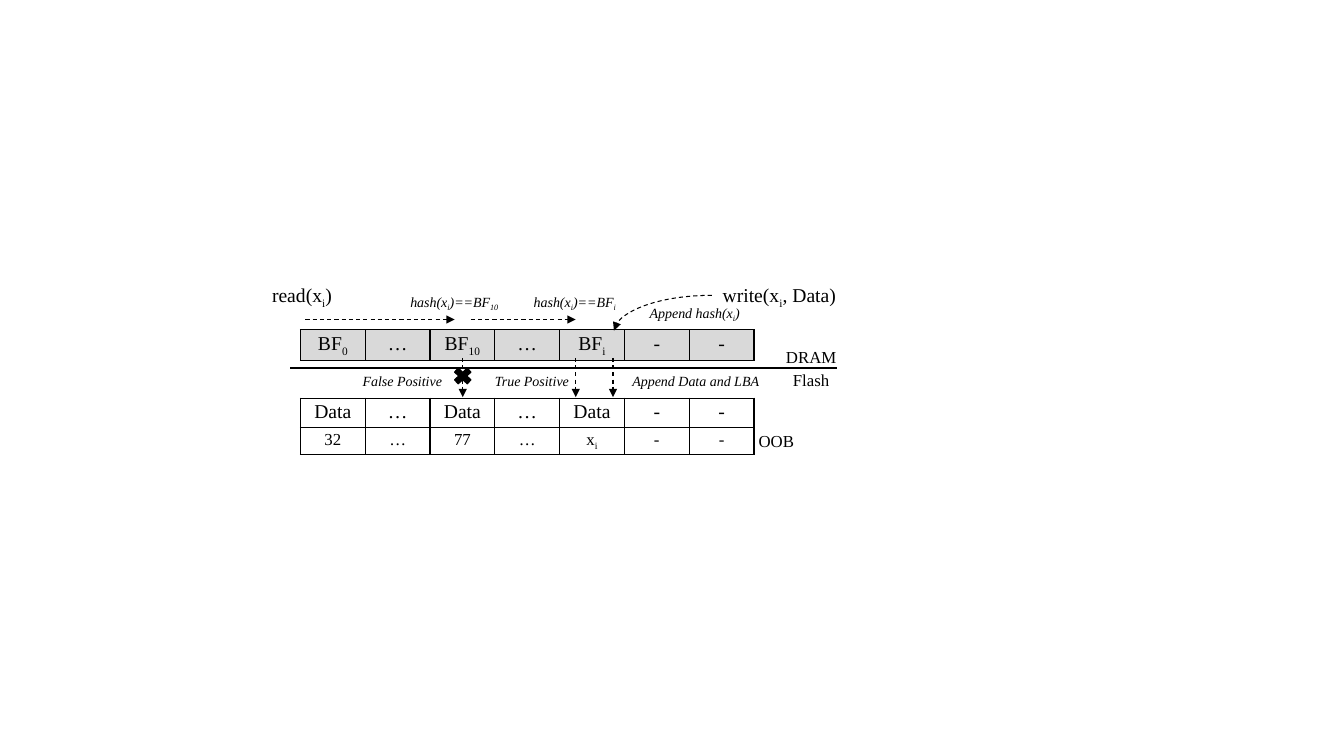
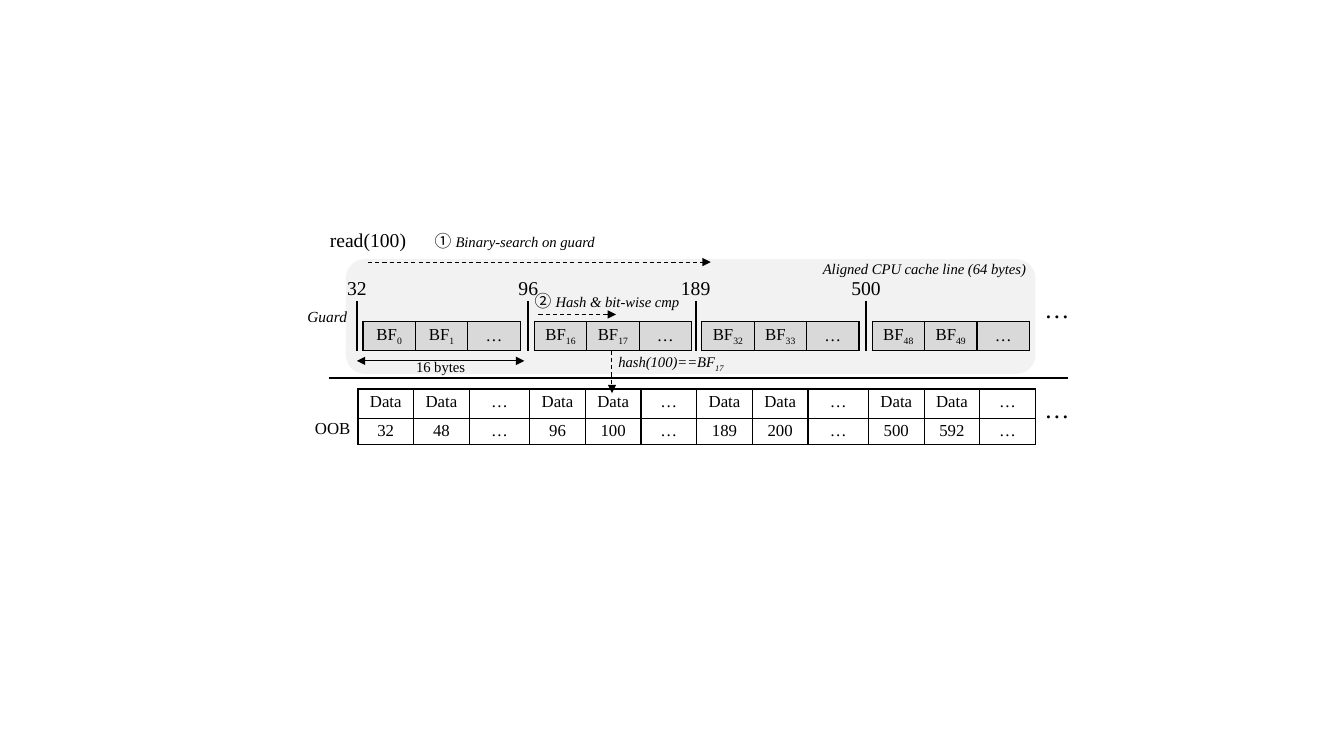
import pptx
import pptx.util
import pptx.dml.color
import pptx.enum.dml
import pptx.enum.shapes
import pptx.enum.text
import pptx.oxml
import pptx.oxml.ns

Inches = pptx.util.Inches
Pt = pptx.util.Pt
Align = pptx.enum.text.PP_ALIGN
Anchor = pptx.enum.text.MSO_ANCHOR
Shape = pptx.enum.shapes.MSO_SHAPE
Link = pptx.enum.shapes.MSO_CONNECTOR
qn = pptx.oxml.ns.qn

INK = {"black": "000000", "white": "FFFFFF", "gray": "D9D9D9", "pale": "F2F2F2"}
SERIF = "Times New Roman"
CJK = "Noto Sans CJK KR"


def tint(name):
    return pptx.dml.color.RGBColor.from_string(INK[name])


def add_tag(node, tag, **attrs):
    child = node.makeelement(qn(tag), attrs)
    node.append(child)
    return child


def write(frame, text, size=12, font=SERIF, italic=False, align=Align.CENTER):
    para = frame.paragraphs[0]
    para.alignment = align
    for spot, part in enumerate(text.split("~")):
        if not part:
            continue
        run = para.add_run()
        run.text = part
        run.font.size = Pt(size)
        run.font.name = font
        run.font.italic = italic
        run.font.color.rgb = tint("black")
        props = run._r.get_or_add_rPr()
        add_tag(props, "a:ea", typeface=font)
        if spot % 2:
            props.set("baseline", "-25000")


def label(slide, text, left, top, width, size=12, **style):
    high = size / 60 + 0.1
    box = slide.shapes.add_textbox(Inches(left), Inches(top), Inches(width), Inches(high))
    frame = box.text_frame
    frame.word_wrap = False
    frame.auto_size = pptx.enum.text.MSO_AUTO_SIZE.SHAPE_TO_FIT_TEXT
    write(frame, text, size=size, **style)


def line(slide, start, end, weight=1.5, dash=False, head=False, tail=False, curve=False):
    kind = Link.CURVE if curve else Link.STRAIGHT
    link = slide.shapes.add_connector(kind, *[Inches(v) for v in (*start, *end)])
    link.line.color.rgb = tint("black")
    link.line.width = Pt(weight)
    if dash:
        link.line.dash_style = pptx.enum.dml.MSO_LINE.DASH
    props = link._element.spPr
    stroke = props.find(qn("a:ln"))
    for tag, shown in (("a:headEnd", head), ("a:tailEnd", tail)):
        if shown:
            add_tag(stroke, tag, type="triangle")
    add_tag(props, "a:effectLst")
    if curve:
        props.find(qn("a:prstGeom")).set("prst", "curvedConnector2")


def arrow(slide, start, end):
    line(slide, start, end, weight=0.75, dash=True, tail=True)


def shape(slide, kind, left, top, width, height, fill, edge=None):
    item = slide.shapes.add_shape(kind, *[Inches(v) for v in (left, top, width, height)])
    item.shadow.inherit = False
    item.fill.solid()
    item.fill.fore_color.rgb = tint(fill)
    if edge:
        item.line.color.rgb = tint(edge)
        item.line.width = Pt(1)
    else:
        item.line.fill.background()


def frame_cell(cell):
    props = cell._tc.get_or_add_tcPr()
    for side in "LRTB":
        edge = add_tag(props, "a:ln" + side, w=str(Pt(1)))
        fill = add_tag(edge, "a:solidFill")
        add_tag(fill, "a:srgbClr", val=INK["black"])


def grid(slide, rows, left, top, cols, highs, sizes, fill="white", pad=0.11, anchor=Anchor.TOP):
    item = slide.shapes.add_table(len(rows), len(cols), Inches(left), Inches(top),
                                  Inches(sum(cols)), Inches(sum(highs)))
    table = item.table
    for col, wide in zip(table.columns, cols):
        col.width = Inches(wide)
    for r, words in enumerate(rows):
        table.rows[r].height = Inches(highs[r])
        for c, word in enumerate(words):
            cell = table.cell(r, c)
            cell.margin_left = cell.margin_right = Inches(pad)
            cell.margin_top = cell.margin_bottom = Inches(0.03)
            cell.vertical_anchor = anchor
            frame_cell(cell)
            cell.fill.solid()
            cell.fill.fore_color.rgb = tint(fill)
            write(cell.text_frame, word, size=sizes[r])


def log_cells(slide, left, top, width):
    cols = [width / 7] * 7
    grid(slide, [["BF~0~", "…", "BF~10~", "…", "BF~i~", "-", "-"]],
         left, top, cols, [0.29], [14], fill="gray")
    grid(slide, [["Data", "…", "Data", "…", "Data", "-", "-"],
                 ["32", "…", "77", "…", "x~i~", "-", "-"]],
         left, top + 0.68, cols, [0.29, 0.26], [14, 12])
    label(slide, "OOB", left + 4.44, top + 0.95, 0.56)


def log_calls(slide, left, top):
    label(slide, "read(x~i~)", left - 0.39, top - 0.51, 0.81, size=14)
    label(slide, "write(x~i~, Data)", left + 4.08, top - 0.51, 1.34, size=14)
    for text, x, y, wide in (("hash(x~i~)==BF~10~", 0.97, -0.41, 1.11),
                             ("hash(x~i~)==BF~i~", 2.2, -0.41, 1.04),
                             ("Append hash(x~i~)", 3.35, -0.3, 1.12)):
        label(slide, text, left + x, top + y, wide, size=10, italic=True)
    for begin, end in ((0.05, 1.53), (1.69, 2.73)):
        arrow(slide, (left + begin, top - 0.1), (left + end, top - 0.1))
    line(slide, (left + 4.08, top - 0.34), (left + 3.11, top + 0.01),
         weight=0.75, dash=True, tail=True, curve=True)


def log_split(slide, left, top):
    line(slide, (left - 0.1, top), (left + 5.32, top))
    label(slide, "DRAM", left + 4.71, top - 0.26, 0.71)
    label(slide, "Flash", left + 4.78, top - 0.03, 0.57)
    for text, x, wide in (("False Positive", 0.51, 1), ("True Positive", 1.82, 0.95),
                          ("Append Data and LBA", 3.18, 1.48)):
        label(slide, text, left + x, top, wide, size=10, italic=True)
    for x in (1.61, 2.73, 3.1):
        arrow(slide, (left + x, top - 0.1), (left + x, top + 0.29))
    shape(slide, Shape.MATH_MULTIPLY, left + 1.49, top - 0.03, 0.24, 0.22, "black", edge="black")


def cache_line(slide, left, top, width, height):
    shape(slide, Shape.ROUNDED_RECTANGLE, left, top, width, height, "pale")
    label(slide, "Aligned CPU cache line (64 bytes)", left + 4.62, top - 0.04, 2.24,
          size=10.5, italic=True)
    label(slide, "Guard", left - 0.49, top + 0.43, 0.61, size=11, italic=True)
    groups = ((0.11, "32", 0), (1.81, "96", 16), (3.47, "189", 32), (5.16, "500", 48))
    for x, guard, first in groups:
        tick = left + x
        label(slide, guard, tick - 0.25, top + 0.12, 0.5, size=14)
        grid(slide, [[f"BF~{first}~", f"BF~{first + 1}~", "…"]], tick + 0.06, top + 0.62,
             [0.52] * 3, [0.29], [12], fill="gray", pad=0.1, anchor=Anchor.MIDDLE)
        line(slide, (tick, top + 0.42), (tick, top + 0.91))
    line(slide, (left + 0.11, top + 1.01), (left + 1.77, top + 1.01),
         weight=0.5, head=True, tail=True)
    label(slide, "16 bytes", left + 0.59, top + 0.93, 0.7, size=10.5)
    label(slide, "…", left + 6.83, top + 0.29, 0.45, size=18, align=Align.LEFT)


def search_steps(slide, left, top):
    label(slide, "read(100)", left - 0.26, top - 0.36, 0.96, size=14)
    for mark, text, x, y, wide in (("①", "Binary-search on guard", 0.78, -0.33, 1.6),
                                   ("②", "Hash & bit-wise cmp", 1.77, 0.27, 1.45)):
        label(slide, mark, left + x, top + y, 0.37, font=CJK)
        label(slide, text, left + x + 0.2, top + y + 0.02, wide, size=10.5, italic=True)
    label(slide, "hash(100)==BF~17~", left + 2.56, top + 0.88, 1.33, size=10.5, italic=True)
    arrow(slide, (left + 0.22, top + 0.03), (left + 3.62, top + 0.03))
    arrow(slide, (left + 1.91, top + 0.55), (left + 2.68, top + 0.55))
    arrow(slide, (left + 2.64, top + 0.91), (left + 2.64, top + 1.33))


def flash_pages(slide, left, top, width):
    line(slide, (left - 0.29, top - 0.11), (left + 7.04, top - 0.11))
    wide = 0.6
    slim = (width - 2 * wide) / 10
    cols = [wide if c in (2, 8) else slim for c in range(12)]
    keys = ["32", "48", "…", "96", "100", "…", "189", "200", "…", "500", "592", "…"]
    grid(slide, [["Data", "Data", "…"] * 4, keys], left, top, cols, [0.29, 0.26], [12, 12])
    label(slide, "OOB", left - 0.53, top + 0.24, 0.56)
    label(slide, "…", left + 6.71, top - 0.01, 0.45, size=18, align=Align.LEFT)


def log_slide(deck):
    slide = deck.slides.add_slide(deck.slide_layouts[6])
    log_cells(slide, 2.98, 3.27, 4.5)
    log_calls(slide, 2.98, 3.27)
    log_split(slide, 2.98, 3.65)


def guard_slide(deck):
    slide = deck.slides.add_slide(deck.slide_layouts[6])
    cache_line(slide, 3.43, 2.57, 6.84, 1.14)
    flash_pages(slide, 3.55, 3.86, 6.72)
    search_steps(slide, 3.43, 2.57)


deck = pptx.Presentation()
deck.slide_width = Inches(13.33)
deck.slide_height = Inches(7.5)
log_slide(deck)
guard_slide(deck)
deck.save("out.pptx")
